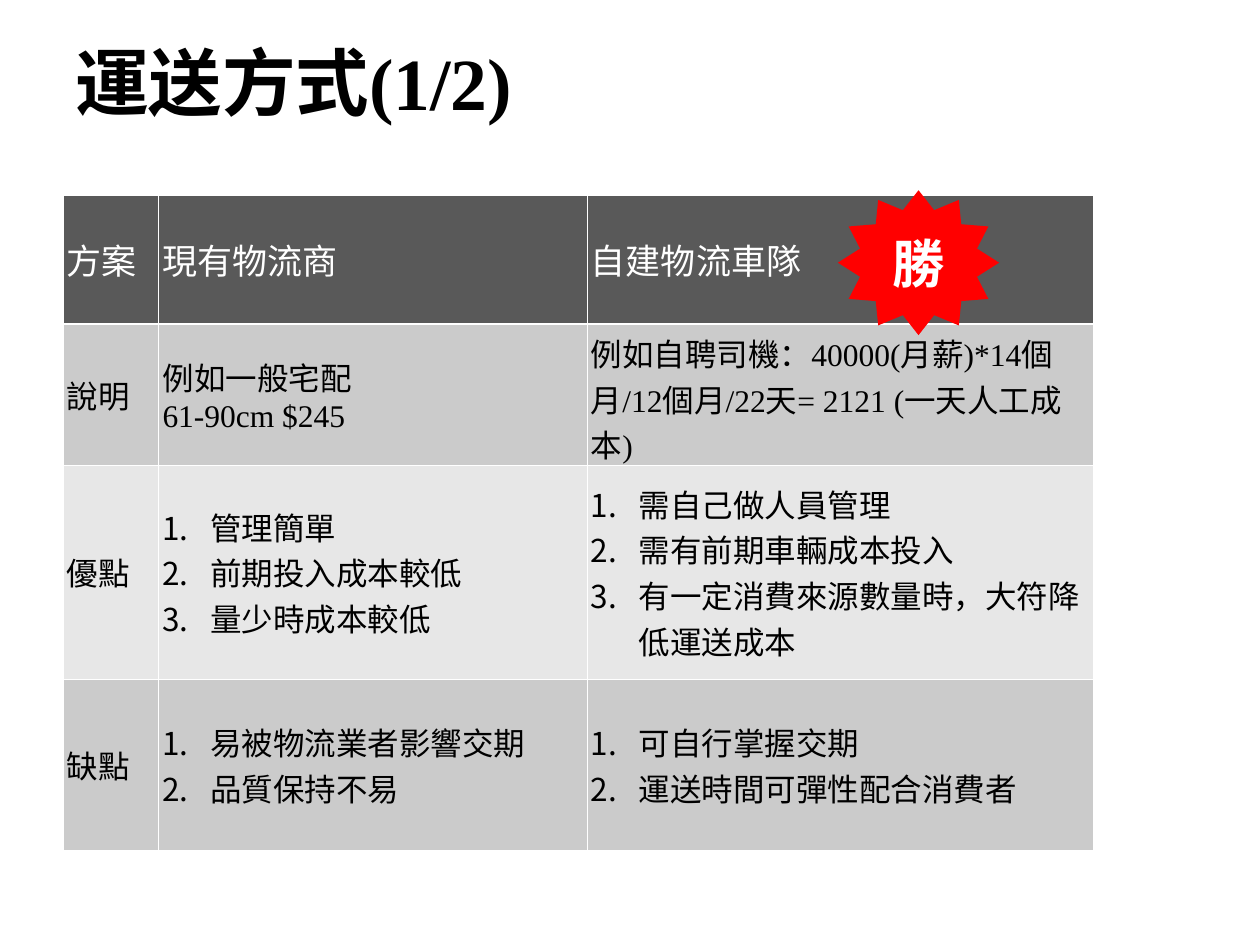
"""Build the delivery method comparison slide."""
from lxml import etree
from pptx import Presentation
from pptx import util as u
from pptx.dml.color import RGBColor
from pptx.enum import shapes, text
from pptx.oxml.ns import qn

TITLE = "運送方式(1/2)"
BADGE = "勝"
ROWS = [
    ("方案", "現有物流商", "自建物流車隊"),
    ("說明", "例如一般宅配\n61-90cm $245",
     "例如自聘司機：40000(月薪)*14個月/12個月/22天= 2121 (一天人工成本)"),
    ("優點", ["管理簡單", "前期投入成本較低", "量少時成本較低"],
     ["需自己做人員管理", "需有前期車輛成本投入", "有一定消費來源數量時，大符降低運送成本"]),
    ("缺點", ["易被物流業者影響交期", "品質保持不易"],
     ["可自行掌握交期", "運送時間可彈性配合消費者"]),
]
COLUMN_WIDTHS = [0.76, 3.4, 4.02]
ROW_HEIGHTS = [1.02, 1.12, 1.7, 1.36]
ROW_FILLS = ["595959", "CBCBCB", "E7E7E7", "CBCBCB"]
THIN, THICK = 0.45, 1.47


def paint(fill, color):
    fill.solid()
    fill.fore_color.rgb = RGBColor.from_string(color)


def write(frame, content, size=18, color="000000", font="Times New Roman",
          bold=False, align=text.PP_ALIGN.LEFT):
    numbered = isinstance(content, list)
    lines = content if numbered else content.split("\n")
    frame.word_wrap = True
    for index, line in enumerate(lines):
        paragraph = frame.paragraphs[0] if index == 0 else frame.add_paragraph()
        paragraph.alignment = align
        if numbered:
            properties = paragraph._p.get_or_add_pPr()
            properties.set("marL", str(u.Inches(0.38)))
            properties.set("indent", str(-u.Inches(0.38)))
            etree.SubElement(properties, qn("a:buAutoNum"), type="arabicPeriod")
        run = paragraph.add_run()
        run.text = line
        run.font.size = u.Pt(size)
        run.font.name = font
        run.font.bold = bold
        run.font.color.rgb = RGBColor.from_string(color)


def set_borders(cell, top, bottom):
    properties = cell._tc.get_or_add_tcPr()
    widths = {"lnL": THIN, "lnR": THIN, "lnT": top, "lnB": bottom}
    for position, (side, width) in enumerate(widths.items()):
        line = etree.Element(qn("a:" + side), w=str(u.Pt(width)))
        fill = etree.SubElement(line, qn("a:solidFill"))
        etree.SubElement(fill, qn("a:srgbClr"), val="FFFFFF")
        properties.insert(position, line)


def add_title(slide):
    box = slide.shapes.add_textbox(*map(u.Inches, (0.5, 0.3, 9, 0.69)))
    box.text_frame.vertical_anchor = text.MSO_ANCHOR.MIDDLE
    write(box.text_frame, TITLE, size=42, bold=True)


def add_comparison(slide):
    area = (0.5, 1.55, sum(COLUMN_WIDTHS), sum(ROW_HEIGHTS))
    table = slide.shapes.add_table(
        len(ROWS), len(COLUMN_WIDTHS), *map(u.Inches, area)).table
    table.first_row = table.horz_banding = False
    for column, width in zip(table.columns, COLUMN_WIDTHS):
        column.width = u.Inches(width)
    for r, contents in enumerate(ROWS):
        table.rows[r].height = u.Inches(ROW_HEIGHTS[r])
        for c, content in enumerate(contents):
            cell = table.cell(r, c)
            cell.margin_left = cell.margin_right = u.Inches(0.03)
            cell.vertical_anchor = text.MSO_ANCHOR.MIDDLE
            paint(cell.fill, ROW_FILLS[r])
            set_borders(cell, top=THICK if r == 1 else THIN,
                        bottom=THICK if r == 0 else THIN)
            write(cell.text_frame, content, size=20 if r == 0 else 18,
                  color="FFFFFF" if r == 0 else "000000")


def add_badge(slide):
    badge = slide.shapes.add_shape(
        shapes.MSO_SHAPE.STAR_12_POINT, *map(u.Inches, (6.65, 1.51, 1.28, 1.15)))
    badge.shadow.inherit = False
    paint(badge.fill, "FF0000")
    badge.line.fill.background()
    frame = badge.text_frame
    frame.margin_left = frame.margin_right = frame.margin_top = frame.margin_bottom = 0
    frame.vertical_anchor = text.MSO_ANCHOR.MIDDLE
    write(frame, BADGE, size=30, color="FFFFFF", font="Calibri", bold=True,
          align=text.PP_ALIGN.CENTER)


def main():
    presentation = Presentation()
    presentation.slide_width, presentation.slide_height = u.Inches(10), u.Inches(7.5)
    slide = presentation.slides.add_slide(presentation.slide_layouts[6])
    add_title(slide)
    add_comparison(slide)
    add_badge(slide)
    presentation.save("out.pptx")


if __name__ == "__main__":
    main()
